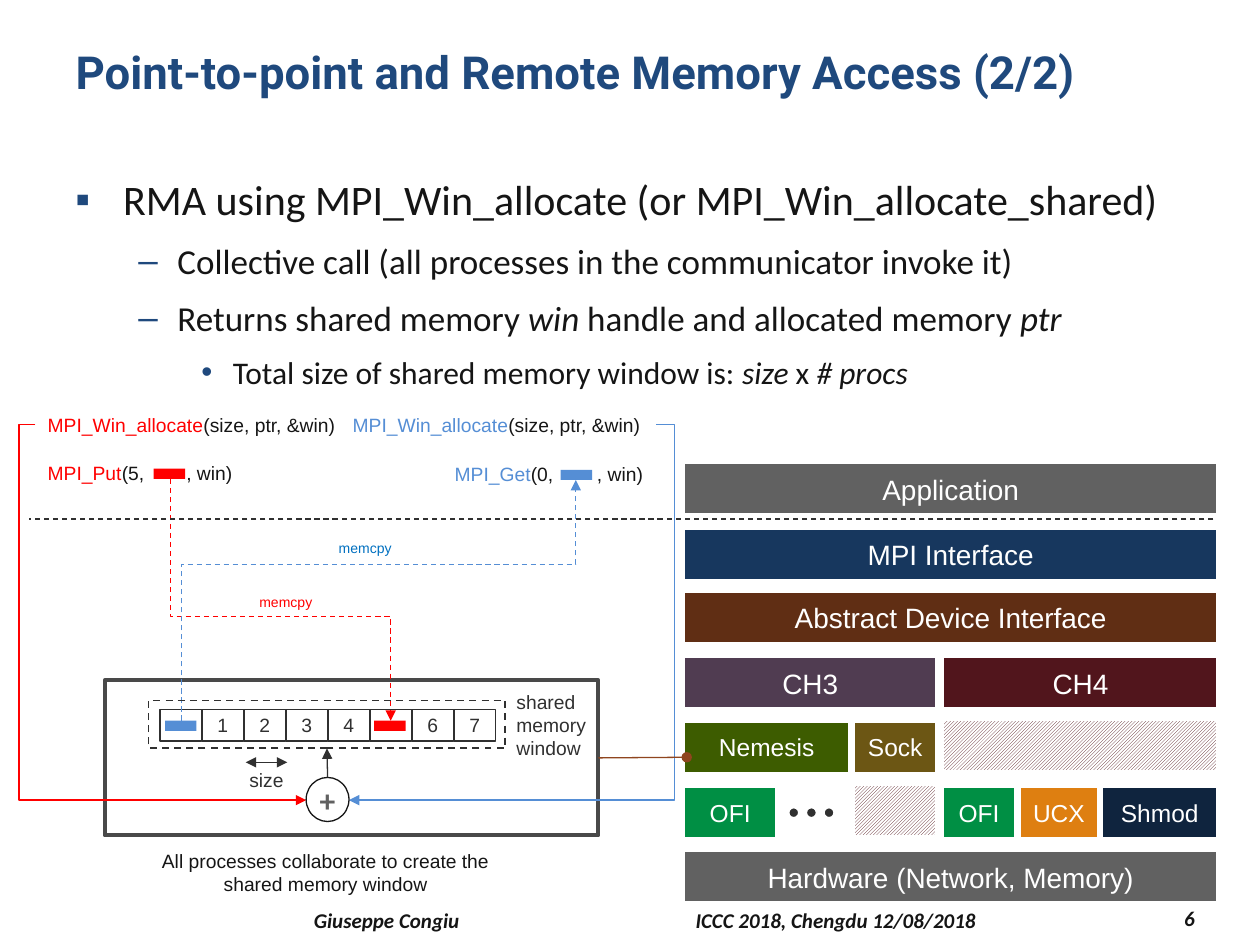
from dataclasses import dataclass
from lxml.etree import SubElement
from pptx import Presentation
from pptx.dml.color import RGBColor
from pptx.enum.dml import MSO_LINE, MSO_PATTERN
from pptx.enum.shapes import MSO_CONNECTOR, MSO_SHAPE
from pptx.enum.text import MSO_ANCHOR, MSO_AUTO_SIZE, PP_ALIGN
from pptx.oxml.ns import qn
from pptx.util import Inches, Pt

COLORS = {
    "title": "1F497D", "ink": "151515", "dark": "303030", "frame": "494949",
    "red": "FF0000", "blue": "558ED5", "copy": "0070C0", "white": "FFFFFF",
    "gray": "616161", "navy": "17375E", "brown": "602E14", "purple": "503C51",
    "wine": "51151C", "olive": "3D5C00", "mustard": "6C5614", "green": "008F44",
    "orange": "DE7F11", "midnight": "0F243E", "rust": "8F451E",
}


@dataclass
class Span:
    text: str
    color: str = "ink"
    italic: bool = False


@dataclass
class Bullet:
    level: int
    spans: list[Span]


@dataclass
class Label:
    box: tuple[float, float, float, float]
    lines: list[list[Span]]
    size: float = 11
    wrap: bool = False
    tab: float = 0
    align: PP_ALIGN = PP_ALIGN.LEFT


@dataclass
class Block:
    left: float
    top: float
    width: float
    color: str
    text: str
    size: float = 16


BULLETS = [
    Bullet(0, [Span("RMA using MPI_Win_allocate (or MPI_Win_allocate_shared)")]),
    Bullet(1, [Span("Collective call (all processes in the communicator invoke it)")]),
    Bullet(1, [Span("Returns shared memory "), Span("win", italic=True),
               Span(" handle and allocated memory "), Span("ptr", italic=True)]),
    Bullet(2, [Span("Total size of shared memory window is: "), Span("size ", italic=True),
               Span("x "), Span("# procs", italic=True)]),
]
BULLET_STYLES = [("▪", 0.38, 0.38, 24, 0), ("–", 0.81, 0.31, 20, 4), ("•", 1.25, 0.25, 18, 3.6)]
LABELS = [
    Label((0.28, 3.23, 2.51, 0.29), [[Span("MPI_Win_allocate", "red"), Span("(size, ptr, &win)")]]),
    Label((2.7, 3.23, 2.51, 0.29), [[Span("MPI_Win_allocate", "blue"), Span("(size, ptr, &win)")]]),
    Label((0.28, 3.61, 1.68, 0.29), [[Span("MPI_Put", "red"), Span("(5,\t, win)")]], wrap=True, tab=1.1),
    Label((3.51, 3.62, 1.73, 0.29), [[Span("MPI_Get", "blue"), Span("(0,\t, win)")]], wrap=True, tab=1.13),
    Label((1.88, 6.05, 0.48, 0.29), [[Span("size", "dark")]]),
    Label((1.96, 4.66, 0.63, 0.24), [[Span("memcpy", "red")]], 8),
    Label((2.59, 4.23, 0.63, 0.24), [[Span("memcpy", "copy")]], 8),
    Label((4, 5.43, 0.85, 0.66), [[Span("shared memory window", "dark")]], wrap=True),
    Label((1.18, 6.69, 2.81, 0.47), [[Span("All processes collaborate to create the")],
                                     [Span("shared memory window")]], align=PP_ALIGN.CENTER),
]
BLOCKS = [
    Block(5.42, 4.19, 4.25, "navy", "MPI Interface"),
    Block(5.42, 4.69, 4.25, "brown", "Abstract Device Interface"),
    Block(5.42, 5.21, 2.02, "purple", "CH3"),
    Block(7.48, 5.21, 2.19, "wine", "CH4"),
    Block(5.42, 5.72, 1.33, "olive", "Nemesis", 14),
    Block(6.77, 5.72, 0.67, "mustard", "Sock", 14),
    Block(5.42, 6.24, 0.75, "green", "OFI", 14),
    Block(7.48, 6.24, 0.58, "green", "OFI", 14),
    Block(8.09, 6.24, 0.63, "orange", "UCX", 14),
    Block(8.74, 6.24, 0.93, "midnight", "Shmod", 14),
    Block(5.42, 3.67, 4.25, "gray", "Application"),
    Block(5.42, 6.75, 4.25, "gray", "Hardware (Network, Memory)"),
]
BUFFERS = [(1.22, 3.72, "red"), (2.97, 5.72, "red"), (1.31, 5.72, "blue"), (4.45, 3.73, "blue")]


def rgb(color: str) -> RGBColor:
    return RGBColor.from_string(COLORS[color])


def set_font(font, name: str, size: float, color: str = "", bold: bool = False, italic: bool = False) -> None:
    font.name, font.size, font.bold, font.italic = name, Pt(size), bold, italic
    if color:
        font.color.rgb = rgb(color)


def add_tab(paragraph, position: float) -> None:
    tabs = SubElement(paragraph._p.get_or_add_pPr(), qn("a:tabLst"))
    SubElement(tabs, qn("a:tab"), pos=str(Inches(position)), algn="l")


def add_text_frame(slide, box):
    return slide.shapes.add_textbox(*map(Inches, box)).text_frame


def add_bullets(slide) -> None:
    frame = add_text_frame(slide, (0.5, 1.25, 9, 1.58))
    frame.word_wrap = True
    for index, bullet in enumerate(BULLETS):
        paragraph = frame.paragraphs[0] if index == 0 else frame.add_paragraph()
        character, margin, hanging, size, space = BULLET_STYLES[bullet.level]
        paragraph.level = bullet.level
        paragraph.line_spacing = 1.2
        paragraph.space_before = Pt(space)
        properties = paragraph._p.get_or_add_pPr()
        properties.set("marL", str(Inches(margin)))
        properties.set("indent", str(-Inches(hanging)))
        SubElement(SubElement(properties, qn("a:buClr")), qn("a:srgbClr"), val=COLORS["title"])
        SubElement(properties, qn("a:buFont"), typeface="Arial")
        SubElement(properties, qn("a:buChar"), char=character)
        set_font(paragraph.font, "Calibri", size, "ink")
        for span in bullet.spans:
            run = paragraph.add_run()
            run.text, run.font.italic = span.text, span.italic


def add_label(slide, label: Label) -> None:
    frame = add_text_frame(slide, label.box)
    frame.word_wrap = label.wrap
    frame.auto_size = MSO_AUTO_SIZE.SHAPE_TO_FIT_TEXT
    for index, spans in enumerate(label.lines):
        paragraph = frame.paragraphs[0] if index == 0 else frame.add_paragraph()
        paragraph.alignment = label.align
        if label.tab:
            add_tab(paragraph, label.tab)
        set_font(paragraph.font, "Arial", label.size)
        for span in spans:
            run = paragraph.add_run()
            run.text, run.font.color.rgb = span.text, rgb(span.color)


def add_footer(slide, box, text: str, align: PP_ALIGN, indent: float = 0.1, tab: float = 0) -> None:
    frame = add_text_frame(slide, box)
    frame.word_wrap, frame.vertical_anchor = True, MSO_ANCHOR.MIDDLE
    frame.margin_left = Inches(indent)
    paragraph = frame.paragraphs[0]
    paragraph.text, paragraph.alignment = text, align
    if tab:
        add_tab(paragraph, tab)
    set_font(paragraph.font, "Calibri", 12, "ink", True, True)


def add_box(slide, box, fill: str = "", line: str = "", width: float = 1, kind=MSO_SHAPE.RECTANGLE):
    shape = slide.shapes.add_shape(kind, *map(Inches, box))
    shape.shadow.inherit = False
    if fill:
        shape.fill.solid()
        shape.fill.fore_color.rgb = rgb(fill)
    else:
        shape.fill.background()
    if line:
        shape.line.color.rgb, shape.line.width = rgb(line), Pt(width)
    else:
        shape.line.fill.background()
    return shape


def write_centered(shape, text: str, name: str, size: float, color: str, bold: bool = False) -> None:
    frame = shape.text_frame
    frame.margin_left = frame.margin_right = frame.margin_top = frame.margin_bottom = 0
    frame.vertical_anchor, frame.word_wrap = MSO_ANCHOR.MIDDLE, False
    paragraph = frame.paragraphs[0]
    paragraph.text, paragraph.alignment = text, PP_ALIGN.CENTER
    set_font(paragraph.font, name, size, color, bold)


def add_line(slide, begin, end, color: str, head: str = "", tail: str = "",
             dashed: bool = False, kind=MSO_CONNECTOR.STRAIGHT):
    connector = slide.shapes.add_connector(kind, *map(Inches, (*begin, *end)))
    connector.line.color.rgb, connector.line.width = rgb(color), Pt(0.75)
    if dashed:
        connector.line.dash_style = MSO_LINE.DASH
    line = connector.line._get_or_add_ln()
    for tag, arrow in (("a:headEnd", head), ("a:tailEnd", tail)):
        if arrow:
            SubElement(line, qn(tag), type=arrow)
    SubElement(connector._element.spPr, qn("a:effectLst"))
    return connector


def add_elbow(slide, begin, end, color: str, bend: float, upright: bool = False) -> None:
    (x1, y1), (x2, y2) = begin, end
    if upright:
        x, y = (x1 + x2) / 2, (y1 + y2) / 2
        half_width, half_height = abs(y2 - y1) / 2, (x2 - x1) / 2
        if y2 < y1:
            half_height = -half_height
        begin, end = (x + half_width, y - half_height), (x - half_width, y + half_height)
    connector = add_line(slide, begin, end, color, tail="triangle", dashed=upright, kind=MSO_CONNECTOR.ELBOW)
    properties = connector._element.spPr
    if upright:
        properties.find(qn("a:xfrm")).set("rot", str((270 if y2 > y1 else 90) * 60000))
    guides = properties.find(qn("a:prstGeom")).find(qn("a:avLst"))
    SubElement(guides, qn("a:gd"), name="adj1", fmla=f"val {round(bend * 100000)}")


def add_window(slide) -> None:
    process_box = add_box(slide, (0.83, 5.4, 3.92, 1.23), line="frame", width=2.25)
    for index in range(8):
        used = index in (0, 5)
        cell = add_box(slide, (1.27 + index / 3, 5.63, 0.33, 0.25), "" if used else "white", "dark")
        if not used:
            write_centered(cell, str(index), "Arial", 11, "dark")
    add_elbow(slide, (0.28, 3.37), (2.43, 6.35), "red", -0.06)
    add_elbow(slide, (5.21, 3.37), (2.77, 6.35), "blue", -0.06)
    add_elbow(slide, (1.35, 3.8), (3.1, 5.72), "red", 0.57, True)
    add_elbow(slide, (1.44, 5.72), (4.57, 3.81), "blue", 0.65, True)
    add_line(slide, (1.95, 6.05), (2.28, 6.05), "dark", "triangle", "triangle")
    window = add_box(slide, (1.18, 5.56, 2.83, 0.38), line="dark")
    window.line.dash_style = MSO_LINE.DASH
    for left, top, color in BUFFERS:
        add_box(slide, (left, top, 0.25, 0.08), color)
    circle = add_box(slide, (2.43, 6.17, 0.34, 0.35), line="ink", width=0, kind=MSO_SHAPE.OVAL)
    write_centered(circle, "+", "Calibri", 18, "gray", True)
    arrow = add_line(slide, (2.6, 6.17), (2.6, 5.94), "dark", tail="triangle")
    arrow.begin_connect(circle, 0)
    arrow.end_connect(window, 2)
    for label in LABELS:
        add_label(slide, label)
    add_stack(slide)
    link = add_line(slide, (4.75, 6.01), (5.45, 6.01), "rust", tail="oval")
    link.begin_connect(process_box, 3)
    add_line(slide, (9.63, 4.12), (0.23, 4.12), "dark", dashed=True)


def add_stack(slide) -> None:
    for block in BLOCKS:
        shape = add_box(slide, (block.left, block.top, block.width, 0.42), block.color, "white", 2.25)
        write_centered(shape, block.text, "Arial", block.size, "white")
    for index in range(3):
        add_box(slide, (6.25 + 0.14 * index, 6.4, 0.1, 0.1), "dark", "white", 2.25, MSO_SHAPE.OVAL)
    for left, top, width in ((7.48, 5.71, 2.19), (6.77, 6.22, 0.67)):
        fill = add_box(slide, (left, top, width, 0.42), line="white", width=2.25).fill
        fill.patterned()
        fill.pattern = MSO_PATTERN.LIGHT_UPWARD_DIAGONAL
        fill.fore_color.rgb, fill.back_color.rgb = rgb("wine"), rgb("white")


def main() -> None:
    presentation = Presentation()
    presentation.slide_width, presentation.slide_height = Inches(10), Inches(7.5)
    slide = presentation.slides.add_slide(presentation.slide_layouts[5])
    title = slide.shapes.title
    title.left, title.top, title.width, title.height = map(Inches, (0.5, 0.3, 9, 0.87))
    title.text_frame.vertical_anchor = MSO_ANCHOR.TOP
    paragraph = title.text_frame.paragraphs[0]
    paragraph.text = "Point-to-point and Remote Memory Access (2/2)"
    paragraph.alignment = PP_ALIGN.LEFT
    set_font(paragraph.font, "Roboto", 26, "title", True)
    add_bullets(slide)
    add_footer(slide, (2.17, 7.17, 5.92, 0.27), "Giuseppe Congiu\tICCC 2018, Chengdu 12/08/2018",
               PP_ALIGN.LEFT, 0.32, 3.03)
    add_footer(slide, (8.5, 7.15, 1.08, 0.27), "6", PP_ALIGN.RIGHT)
    add_window(slide)
    presentation.save("out.pptx")


if __name__ == "__main__":
    main()
